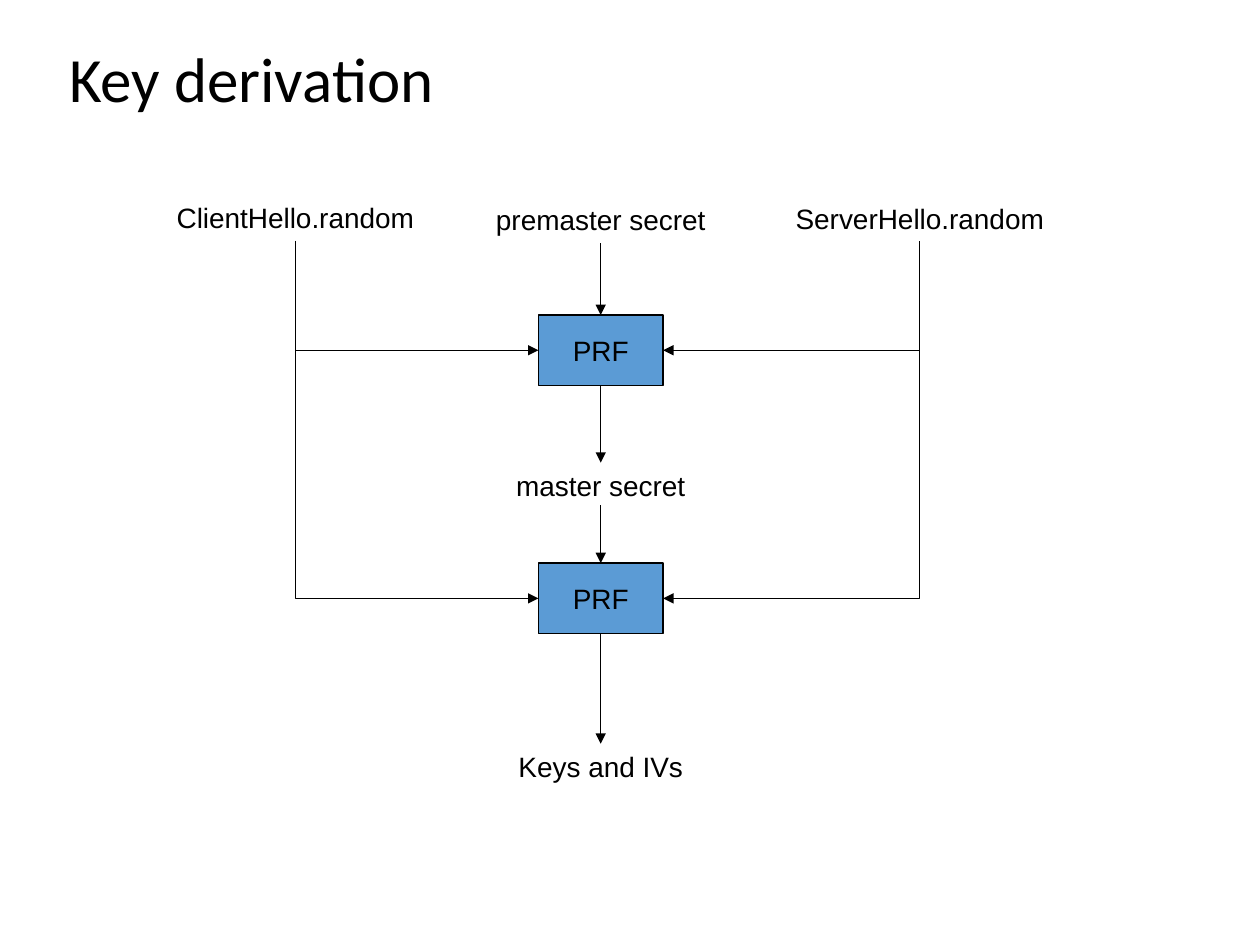
import pptx
import pptx.util
import pptx.dml.color
import pptx.enum.shapes
import pptx.enum.text
from lxml import etree

Pt = pptx.util.Pt
RGB = pptx.dml.color.RGBColor.from_string
MSO = pptx.enum.shapes
ANCHOR = pptx.enum.text.MSO_ANCHOR
ALIGN = pptx.enum.text.PP_ALIGN

THEME = dict(ink="000000", box="5B9BD5", line=0.75,
             title=("Calibri", 36), label=("Arial", 16))

# Content: lengths in points
TITLE = ("Key derivation", 32.4, 20.9, 655.2, 51.8)
MID = 343.3                                  # centre of the main column
BOX_W, BOX_H = 71.2, 40.3
PRF_TOPS = (180, 321.8)
LABELS = [                                   # text, centre x, top, width, height, wrap
    ("ClientHello.random", 168.8, 110.9, 150.5, 26.6, False),
    ("premaster secret", MID, 112.3, 149, 26.6, True),
    ("ServerHello.random", 525.6, 111.6, 157, 26.6, False),
    ("master secret", MID, 264.4, 118.8, 23.8, False),
    ("Keys and IVs", MID, 425, 118.8, 23.8, False),
]
DOWN_ARROWS = [(139, PRF_TOPS[0]), (PRF_TOPS[0] + BOX_H, 264.4),
               (288.6, PRF_TOPS[1]), (PRF_TOPS[1] + BOX_H, 425)]
RANDOMS = [(168.8, 137.6, -1), (525.6, 138, 1)]   # x, start y, side of the box

prs = pptx.Presentation()
prs.slide_width, prs.slide_height = Pt(720), Pt(540)
s = prs.slides.add_slide(prs.slide_layouts[6])


def write(sp, text, style, align, anchor, wrap):
    tf = sp.text_frame
    tf.word_wrap, tf.vertical_anchor = wrap, anchor
    p = tf.paragraphs[0]
    p.alignment = align
    r = p.add_run()
    r.text = text
    r.font.name, size = THEME[style]
    r.font.size = Pt(size)
    r.font.color.rgb = RGB(THEME["ink"])
    return p


def arrow(kind, x1, y1, x2, y2):
    c = s.shapes.add_connector(kind, Pt(x1), Pt(y1), Pt(x2), Pt(y2))
    c.line.color.rgb = RGB(THEME["ink"])
    c.line.width = Pt(THEME["line"])
    ns = pptx.oxml.ns.qn
    etree.SubElement(c.line._get_or_add_ln(), ns("a:tailEnd"), type="triangle")
    etree.SubElement(c._element.spPr, ns("a:effectLst"))
    return c


def bent_arrow(x1, y1, x2, y2):
    """Runs down from the start, then across to the end, with one corner."""
    side = 1 if x1 > x2 else -1
    cx, cy = (x1 + x2) / 2, (y1 + y2) / 2
    half_w, half_h = (y2 - y1) / 2, abs(x2 - x1) / 2    # before the quarter turn
    c = arrow(MSO.MSO_CONNECTOR.ELBOW, cx - side * half_w, cy - half_h,
              cx + side * half_w, cy + half_h)
    spPr = c._element.spPr
    spPr.find(pptx.oxml.ns.qn("a:xfrm")).set("rot", str((90 if side > 0 else 270) * 60000))
    spPr.find(pptx.oxml.ns.qn("a:prstGeom")).set("prst", "bentConnector2")


# Title
text, *place = TITLE
sp = s.shapes.add_textbox(*map(Pt, place))
p = write(sp, text, "title", ALIGN.LEFT, ANCHOR.MIDDLE, True)
p.line_spacing = 0.9

# Labels
for text, cx, top, w, h, wrap in LABELS:
    sp = s.shapes.add_textbox(Pt(cx - w / 2), Pt(top), Pt(w), Pt(h))
    write(sp, text, "label", ALIGN.CENTER, ANCHOR.TOP, wrap)

# PRF boxes, each fed by both random values
for top in PRF_TOPS:
    sp = s.shapes.add_shape(MSO.MSO_SHAPE.RECTANGLE, Pt(MID - BOX_W / 2), Pt(top),
                            Pt(BOX_W), Pt(BOX_H))
    sp.shadow.inherit = False
    sp.fill.solid()
    sp.fill.fore_color.rgb = RGB(THEME["box"])
    sp.line.color.rgb = RGB(THEME["ink"])
    sp.line.width = Pt(THEME["line"])
    write(sp, "PRF", "label", ALIGN.CENTER, ANCHOR.MIDDLE, False)
    for x, y, side in RANDOMS:
        bent_arrow(x, y, MID + side * BOX_W / 2, top + BOX_H / 2)

# Main column
for y1, y2 in DOWN_ARROWS:
    arrow(MSO.MSO_CONNECTOR.STRAIGHT, MID, y1, MID, y2)

prs.save("out.pptx")
